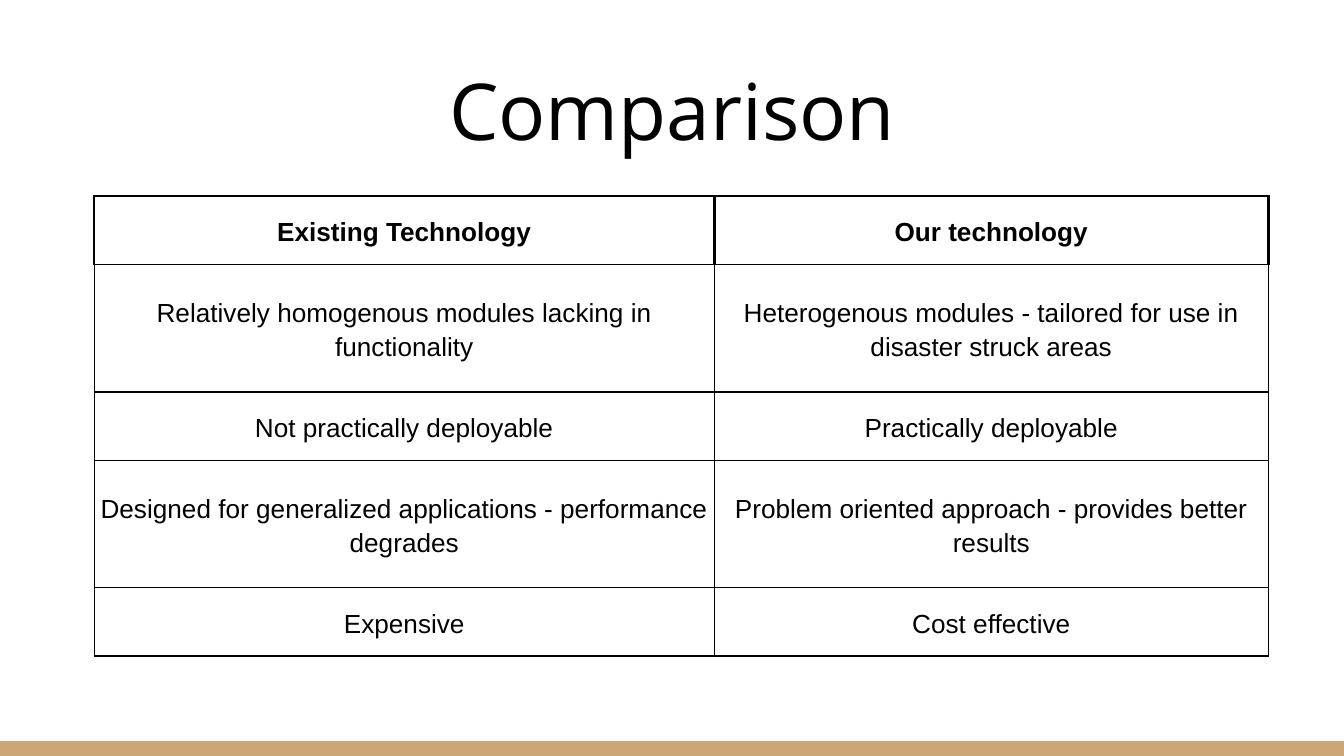
from lxml.etree import SubElement
from pptx import Presentation
from pptx.dml.color import RGBColor
from pptx.enum.shapes import MSO_SHAPE
from pptx.enum.text import MSO_ANCHOR, PP_ALIGN
from pptx.oxml.ns import qn
from pptx.util import Cm, Pt

TITLE = "Comparison"
ROWS = [
    ("Existing Technology", "Our technology"),
    ("Relatively homogenous modules lacking in functionality",
     "Heterogenous modules - tailored for use in disaster struck areas"),
    ("Not practically deployable", "Practically deployable"),
    ("Designed for generalized applications - performance degrades",
     "Problem oriented approach - provides better results"),
    ("Expensive", "Cost effective"),
]
WIDTHS = [11.72, 10.47]
SHORT, TALL = 1.29, 2.41
HEIGHTS = [SHORT, TALL, SHORT, TALL, SHORT]
WIDE, HIGH, BAND = 25.4, 14.29, 0.28

BLACK = RGBColor(0, 0, 0)
TAN = RGBColor(0xCC, 0xA6, 0x77)


def style(para, face, size, bold=False):
    para.alignment = PP_ALIGN.CENTER
    font = para.font
    font.name, font.size, font.bold = face, Pt(size), bold
    font.color.rgb = BLACK


def border(cell, sides):
    props = cell._tc.get_or_add_tcPr()
    for side, width in sides.items():
        line = SubElement(props, qn("a:ln" + side), w=str(Pt(width)))
        fill = SubElement(line, qn("a:solidFill"))
        SubElement(fill, qn("a:srgbClr"), val=str(BLACK))


def add_title(slide):
    title = slide.shapes.title
    title.left, title.top = Cm(0.87), Cm(0.89)
    title.width, title.height = Cm(23.67), Cm(2.31)
    frame = title.text_frame
    frame.text = TITLE
    frame.vertical_anchor = MSO_ANCHOR.BOTTOM
    frame.margin_left = frame.margin_right = Cm(0.25)
    frame.margin_top = frame.margin_bottom = Cm(0.25)
    style(frame.paragraphs[0], "Open Sans", 42)


def add_band(slide):
    band = slide.shapes.add_shape(
        MSO_SHAPE.RECTANGLE, 0, Cm(HIGH - BAND), Cm(WIDE), Cm(BAND))
    band.shadow.inherit = False
    band.fill.solid()
    band.fill.fore_color.rgb = TAN
    band.line.fill.background()


def add_grid(slide):
    table = slide.shapes.add_table(
        len(ROWS), len(WIDTHS), Cm(1.78), Cm(3.71),
        Cm(sum(WIDTHS)), Cm(sum(HEIGHTS))).table
    table.horz_banding = False
    for col, width in zip(table.columns, WIDTHS):
        col.width = Cm(width)
    for r, (texts, height) in enumerate(zip(ROWS, HEIGHTS)):
        table.rows[r].height = Cm(height)
        head = r == 0
        edge = 1.5 if head else 0.75
        for c, text in enumerate(texts):
            cell = table.cell(r, c)
            cell.text = text
            cell.vertical_anchor = MSO_ANCHOR.MIDDLE
            cell.margin_left = cell.margin_right = Cm(0.08)
            cell.margin_top = cell.margin_bottom = Cm(0.05)
            para = cell.text_frame.paragraphs[0]
            style(para, "Arial", 14, head)
            para.line_spacing = 1.15
            border(cell, {"L": edge, "R": edge, "T": edge, "B": 0.75})
            cell.fill.background()


def main():
    deck = Presentation()
    deck.slide_width, deck.slide_height = Cm(WIDE), Cm(HIGH)
    slide = deck.slides.add_slide(deck.slide_layouts[5])
    add_band(slide)
    add_title(slide)
    add_grid(slide)
    deck.save("out.pptx")


if __name__ == "__main__":
    main()
